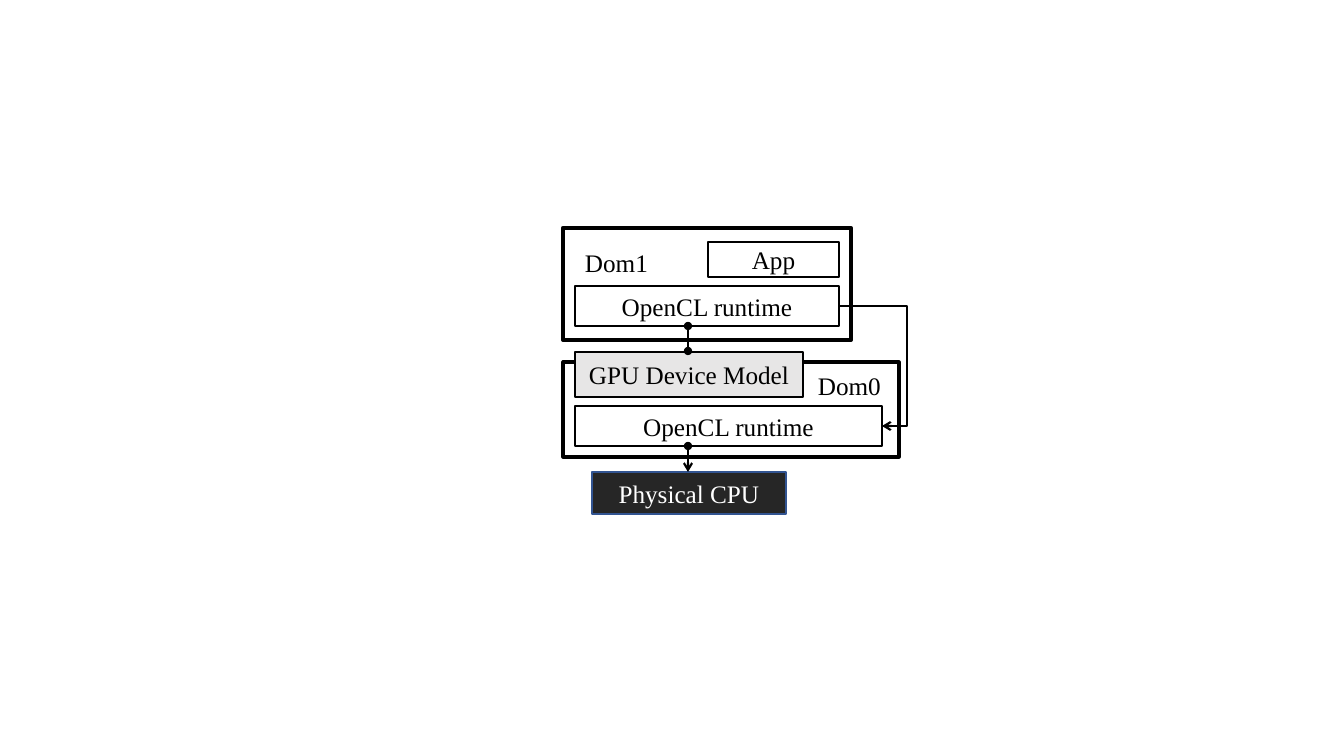
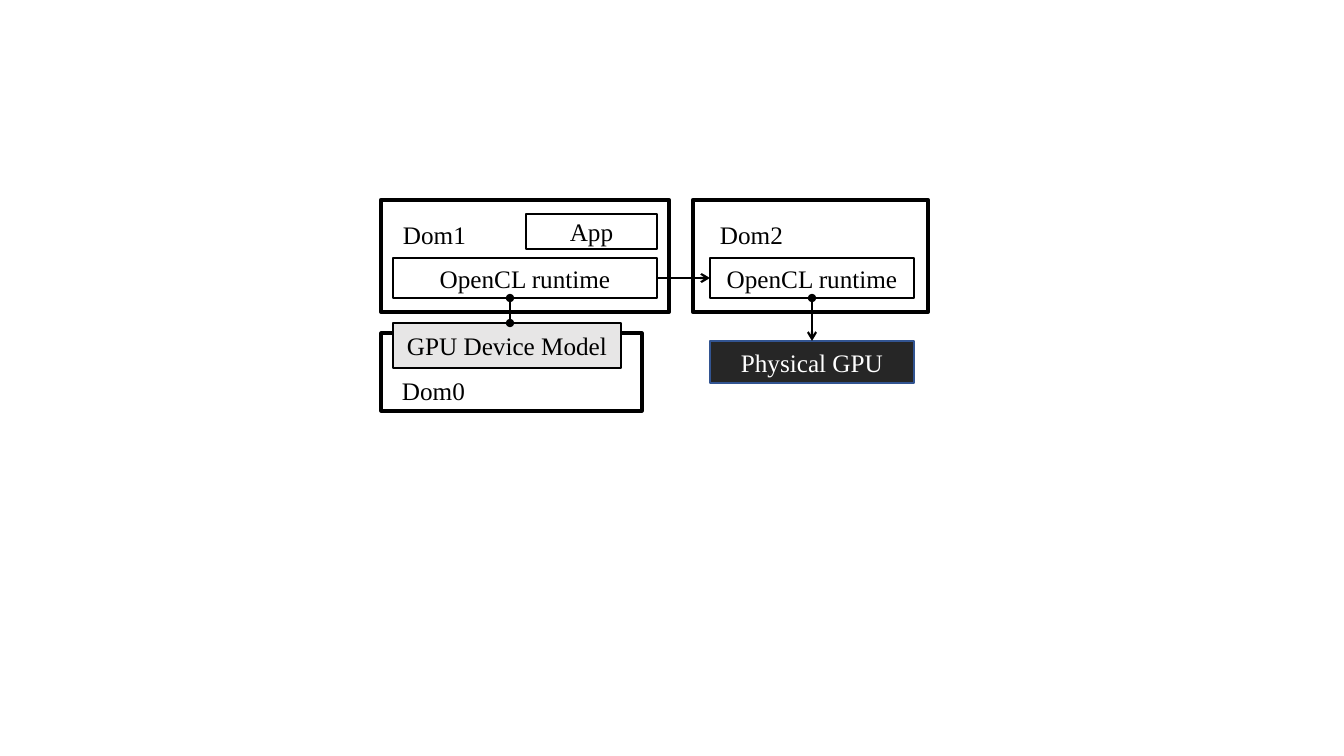
from pptx import Presentation
from pptx.dml.color import RGBColor as Rgb
from pptx.enum.shapes import MSO_CONNECTOR as Link, MSO_SHAPE as Kind
from pptx.enum.text import MSO_ANCHOR as Anchor, MSO_AUTO_SIZE as Auto, PP_ALIGN as Align
from pptx.oxml.ns import qn
from pptx.util import Pt
from lxml.etree import SubElement as Sub

SCALE = 914400 / 100.8
FONT, SIZE = "Times New Roman", 18
HEX = {"ink": "000000", "paper": "FFFFFF", "grey": "E7E6E6",
       "dark": "262626", "edge": "325491"}


def emu(*px):
    return [round(n * SCALE) for n in px]


def tint(name):
    return Rgb.from_string(HEX[name])


class Sketch:
    def __init__(self):
        self.deck = Presentation()
        self.deck.slide_width, self.deck.slide_height = emu(1344, 756)

    def page(self):
        self.slide = self.deck.slides.add_slide(self.deck.slide_layouts[6])

    def words(self, frame, text, color, align):
        frame.text = text
        para = frame.paragraphs[0]
        para.alignment = align
        font = para.runs[0].font
        font.name, font.size = FONT, Pt(SIZE)
        font.color.rgb = tint(color)

    def box(self, x, y, w, h, text="", width=1.5, fill=None, line="ink", color="ink"):
        shape = self.slide.shapes.add_shape(Kind.RECTANGLE, *emu(x, y, w, h))
        shape.shadow.inherit = False
        if fill:
            shape.fill.solid()
            shape.fill.fore_color.rgb = tint(fill)
        else:
            shape.fill.background()
        shape.line.color.rgb = tint(line)
        shape.line.width = Pt(width)
        if text:
            shape.text_frame.vertical_anchor = Anchor.MIDDLE
            self.words(shape.text_frame, text, color, Align.CENTER)

    def label(self, x, y, text):
        frame = self.slide.shapes.add_textbox(*emu(x, y, 84, 40)).text_frame
        frame.word_wrap = False
        frame.auto_size = Auto.SHAPE_TO_FIT_TEXT
        self.words(frame, text, "ink", Align.LEFT)

    def link(self, x1, y1, x2, y2, head=None, tail="arrow", bend=None):
        kind = Link.ELBOW if bend else Link.STRAIGHT
        line = self.slide.shapes.add_connector(kind, *emu(x1, y1, x2, y2))
        line.line.color.rgb = tint("ink")
        line.line.width = Pt(1.5)
        props = line._element.spPr
        if bend:
            # Where the elbow turns, as a share of the width
            turn = round((bend - x1) / (x2 - x1) * 100000)
            guides = props.find(qn("a:prstGeom")).find(qn("a:avLst"))
            Sub(guides, qn("a:gd"), name="adj1", fmla=f"val {turn}")
        for tag, end in (("a:headEnd", head), ("a:tailEnd", tail)):
            if end:
                Sub(props.find(qn("a:ln")), qn(tag), type=end)
        Sub(props, qn("a:effectLst"))

    # Parts that both slides use
    def runtime(self, x, y, w):
        self.box(x, y, w, 40, "OpenCL runtime")

    def guest(self, x, y):
        self.box(x, y, 288, 112, width=3)
        self.box(x + 145, y + 14, 131, 35, "App")
        self.label(x + 12, y + 14, "Dom1")
        self.runtime(x + 12, y + 58, 264)

    def host(self, x, y, w, h):
        self.box(x, y, w, h, width=2.25)
        self.box(x + 12, y - 10, 228, 45, "GPU Device Model", 1, "grey")

    def chip(self, x, y, w, text):
        self.box(x, y, w, 42, text, 1, "dark", "edge", "paper")


art = Sketch()

# Slide 1: runtime inside Dom0
art.page()
art.guest(563, 228)
art.host(563, 362, 336, 95)
art.label(808, 365, "Dom0")
art.runtime(575, 406, 307)
art.chip(592, 472, 194, "Physical CPU")
art.link(688, 326, 688, 351, "oval", "oval")
art.link(688, 446, 688, 472, "oval")
art.link(839, 306, 882, 426, bend=907)

# Slide 2: runtime inside Dom2
art.page()
art.guest(381, 200)
art.host(381, 333, 261, 78)
art.label(392, 370, "Dom0")
art.box(693, 200, 235, 112, width=3)
art.label(710, 214, "Dom2")
art.runtime(710, 258, 204)
art.chip(710, 341, 204, "Physical GPU")
art.link(510, 298, 510, 323, "oval", "oval")
art.link(812, 298, 812, 341, "oval")
art.link(657, 278, 710, 278)

art.deck.save("out.pptx")
